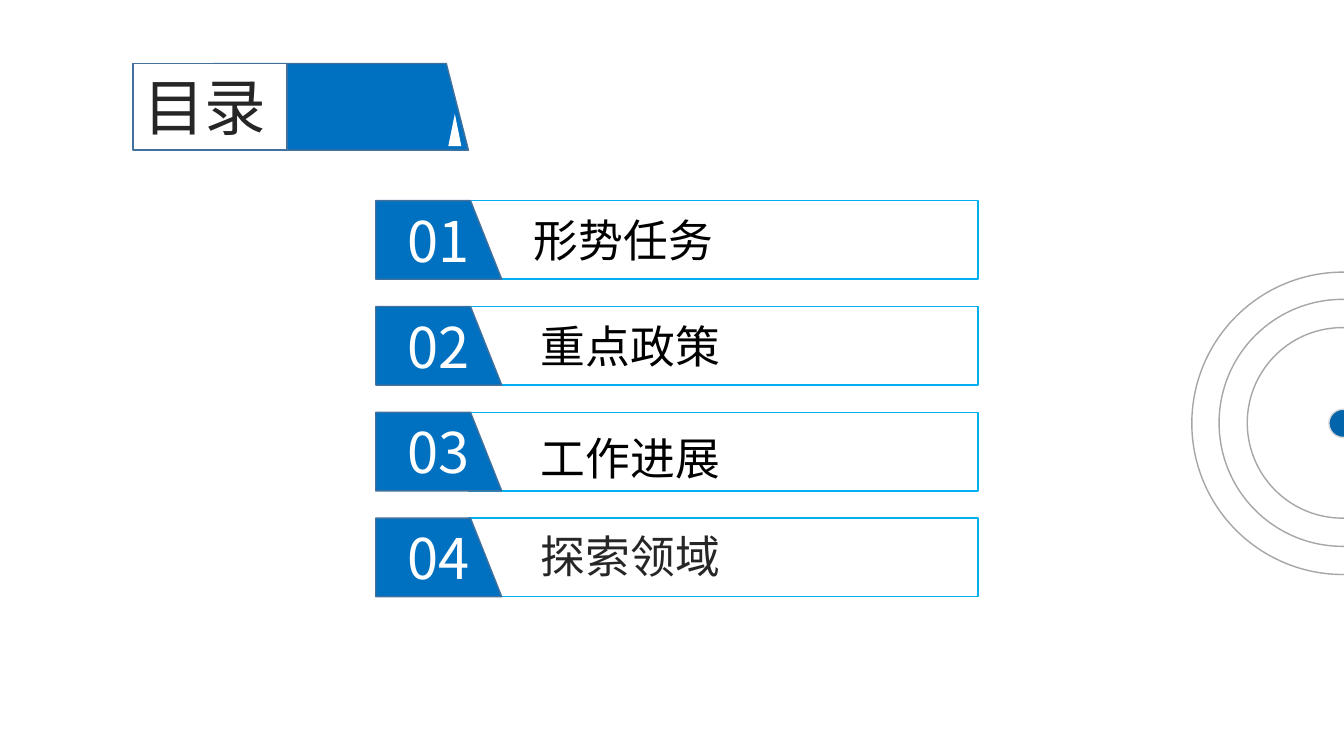
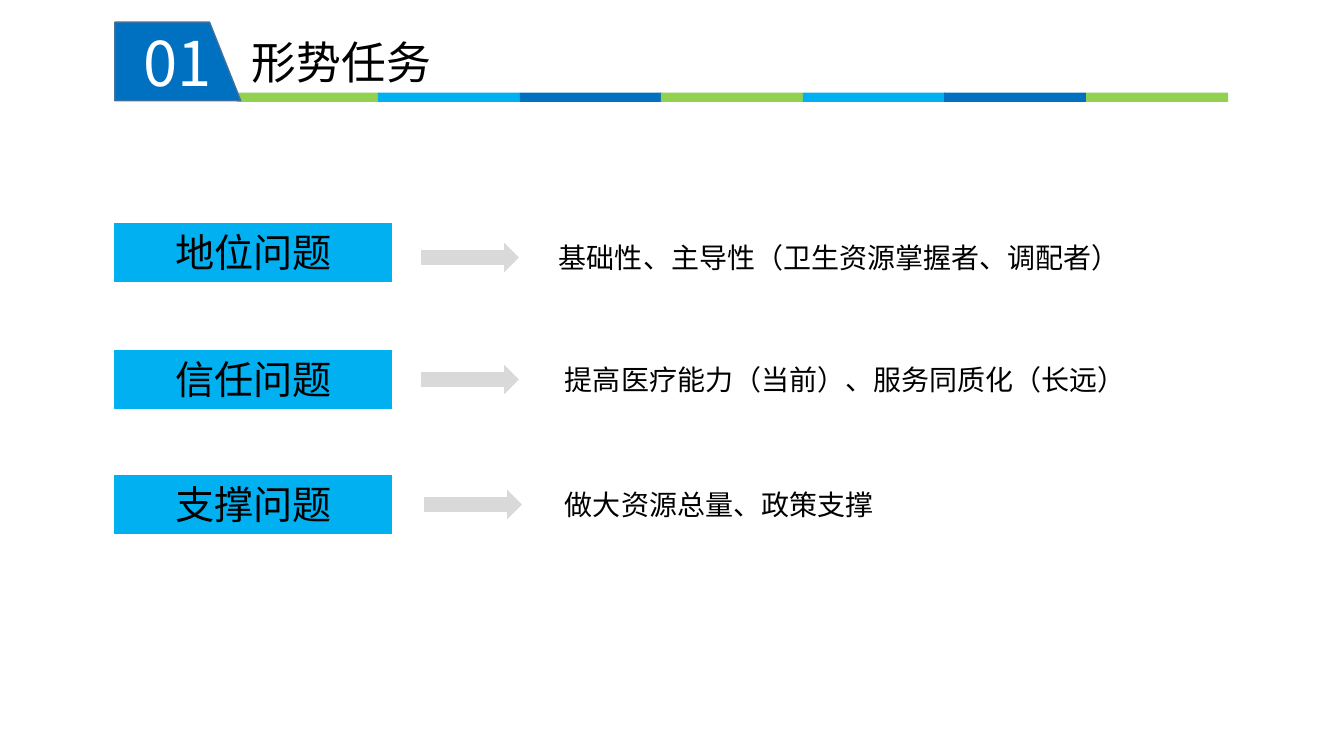
from lxml.etree import SubElement
from pptx import Presentation
from pptx.dml.color import RGBColor
from pptx.enum.shapes import MSO_SHAPE as Preset
from pptx.enum.text import MSO_ANCHOR as Anchor, MSO_AUTO_SIZE as AutoSize, PP_ALIGN as Align
from pptx.oxml.ns import qn
from pptx.util import Pt

PX = 9144  # a hundredth of an inch
FONT = "Noto Sans CJK SC"
BODY_FONT = "Calibri"
BLUE, SKY, GREEN, EDGE = "0070C0", "00B0F0", "92D050", "41719C"
WHITE, BLACK, INK = "FFFFFF", "000000", "262626"
LIGHT, GREY = "D9D9D9", "A6A6A6"
BADGE = [(0, 0), (94, 0), (125, 78), (0, 78)]
TITLE_TAB = [(0, 0), (231, 0), (253, 86), (0, 86)]
TITLE_ONLY = 5

color = RGBColor.from_string


def draw(slide, outline, box, fill=None, line=None, weight=1):
    """Add a preset, or the polygon of a point list at the box's left and top."""
    left, top, *size = [PX * length for length in box]
    if isinstance(outline, list):
        builder = slide.shapes.build_freeform(*outline[0], scale=PX)
        builder.add_line_segments(outline[1:], close=True)
        shape = builder.convert_to_shape(left, top)
    else:
        shape = slide.shapes.add_shape(outline, left, top, *size)
    shape.shadow.inherit = False
    if fill:
        shape.fill.solid()
        shape.fill.fore_color.rgb = color(fill)
    else:
        shape.fill.background()
    if line:
        shape.line.color.rgb = color(line)
        shape.line.width = Pt(weight)
    else:
        shape.line.fill.background()
    return shape


def write(shape, text, size, ink=BLACK, font=FONT, align=Align.LEFT, anchor=Anchor.TOP):
    frame = shape.text_frame
    frame.word_wrap = True
    frame.auto_size = AutoSize.NONE
    frame.vertical_anchor = anchor
    paragraph = frame.paragraphs[0]
    paragraph.text = text
    paragraph.alignment = align
    paragraph.font.size = Pt(size)
    paragraph.font.color.rgb = color(ink)
    paragraph.font.name = font
    SubElement(paragraph.font._element, qn("a:ea"), typeface=FONT)


presentation = Presentation()
presentation.slide_width = 1334 * PX
presentation.slide_height = 750 * PX
layout = presentation.slide_layouts[TITLE_ONLY]
contents = presentation.slides.add_slide(layout)
tasks = presentation.slides.add_slide(layout)

# Titles
draw(contents, TITLE_TAB, (212, 63), BLUE, EDGE)
draw(contents, Preset.ISOSCELES_TRIANGLE, (445, 113, 13, 32), WHITE)
for slide, text, size, ink, box in [
    (contents, "目录", 44, INK, (132, 63, 153, 86)),
    (tasks, "形势任务", 32, BLACK, (240, 29, 300, 64)),
]:
    title = slide.shapes.title
    title.left, title.top, title.width, title.height = [PX * length for length in box]
    write(title, text, size, ink)
title = contents.shapes.title
title.fill.solid()
title.fill.fore_color.rgb = color(WHITE)
title.line.color.rgb = color(EDGE)
title.line.width = Pt(1)
contents.shapes._spTree.append(title._element)  # in front of the blue tab

# Rings at the right edge
for diameter, fill, line in [(300, None, GREY), (245, None, GREY), (189, None, GREY), (28, "0264AB", LIGHT)]:
    corner = (1333 - diameter / 2, 420 - diameter / 2)
    draw(contents, Preset.OVAL, [int(length) for length in corner] + [diameter] * 2, fill, line)

# Contents rows
badges = [(tasks, 114, 22, "01", 44)]
topics = [
    ("形势任务", 520, 206, BLACK),
    ("重点政策", 527, 311, BLACK),
    ("工作进展", 527, 422, BLACK),
    ("探索领域", 527, 520, INK),
]
for index, (topic, left, top, ink) in enumerate(topics):
    row_top = 199 + 105 * index
    draw(contents, Preset.RECTANGLE, (465, row_top, 506, 78), line=SKY)
    badges.append((contents, 373, row_top, f"{index + 1:02}", 40))
    label = contents.shapes.add_textbox(left * PX, top * PX, 435 * PX, 64 * PX)
    write(label, topic, 32, ink)

# Coloured band under the second title
for index in range(7):
    fill = (GREEN, SKY, BLUE)[index % 3]
    draw(tasks, Preset.RECTANGLE, (235 + 281 * index // 2, 92, 141, 9), fill)

for slide, left, top, number, size in badges:
    badge = draw(slide, BADGE, (left, top), BLUE, EDGE)
    write(badge, number, size, WHITE, align=Align.CENTER, anchor=Anchor.MIDDLE)

# Problems and answers
problems = [
    ("地位问题", 222, (418, 241), "基础性、主导性（卫生资源掌握者、调配者）", (545, 234)),
    ("信任问题", 348, (418, 362), "提高医疗能力（当前）、服务同质化（长远）", (551, 355)),
    ("支撑问题", 472, (421, 486), "做大资源总量、政策支撑", (551, 479)),
]
for problem, top, arrow_corner, answer, (answer_left, answer_top) in problems:
    box = draw(tasks, Preset.RECTANGLE, (114, top, 275, 57), SKY, SKY, 0.75)
    write(box, problem, 28, align=Align.CENTER)
    draw(tasks, Preset.RIGHT_ARROW, (*arrow_corner, 97, 29), LIGHT)
    note = tasks.shapes.add_textbox(answer_left * PX, answer_top * PX, 667 * PX, 44 * PX)
    write(note, answer, 20, font=BODY_FONT)

presentation.save("out.pptx")
